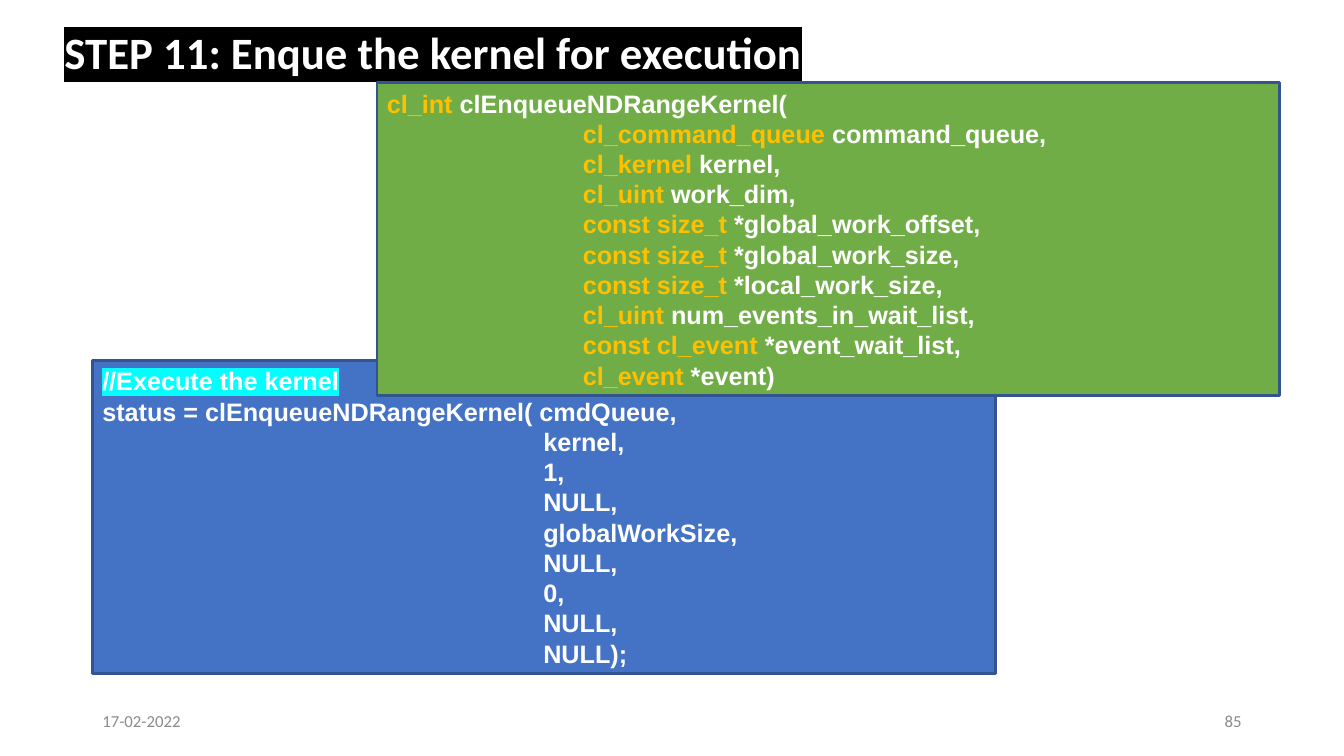
from dataclasses import dataclass

from lxml.etree import SubElement
from pptx import Presentation
from pptx.dml.color import RGBColor as RGB
from pptx.enum.shapes import MSO_SHAPE as Shape
from pptx.enum.text import MSO_ANCHOR as Anchor, PP_ALIGN as Align
from pptx.oxml import parse_xml
from pptx.oxml.ns import nsdecls, qn
from pptx.util import Pt


@dataclass(frozen=True)
class Theme:
    white: str = "FFFFFF"
    black: str = "000000"
    grey: str = "8B8B8B"
    gold: str = "FFC000"
    cyan: str = "00FFFF"
    blue: str = "4472C4"
    green: str = "70AD47"
    edge: str = "325491"
    head: int = 32
    code: int = 18
    foot: int = 12


theme = Theme()


def style(run, face, size, color, bold=True, mark=None):
    font = run.font
    font.name, font.size, font.bold = face, Pt(size), bold
    font.color.rgb = RGB.from_string(color)
    if mark:
        glow = parse_xml(f'<a:highlight {nsdecls("a")}><a:srgbClr val="{mark}"/></a:highlight>')
        run._r.rPr.find(qn("a:solidFill")).addnext(glow)


def label(text, left, top, width, height):
    box = slide.shapes.add_textbox(Pt(left), Pt(top), Pt(width), Pt(height))
    frame = box.text_frame
    frame.word_wrap = True
    frame.vertical_anchor = Anchor.MIDDLE
    frame.text = text
    return frame.paragraphs[0]


deck = Presentation()
deck.slide_width, deck.slide_height = Pt(960), Pt(540)
slide = deck.slides.add_slide(deck.slide_layouts[6])

# Footer: date and page number
for text, left, align in (("17-02-2022", 66, Align.LEFT), ("85", 678, Align.RIGHT)):
    para = label(text, left, 500.5, 216, 28.75)
    para.alignment = align
    style(para.runs[0], "Calibri", theme.foot, theme.grey, bold=False)

# Title: a tab carries the black band past the last word
para = label("STEP 11: Enque the kernel for execution\t", 38.9, 10, 828, 59)
para.line_spacing = 0.9
stops = SubElement(para._p.get_or_add_pPr(), qn("a:tabLst"))
SubElement(stops, qn("a:tab"), pos=str(Pt(548.5)), algn="l")
style(para.runs[0], "Calibri", theme.head, theme.white, mark=theme.black)

# Code lines as (type, name); the call has no types
call = [("", line) for line in (
    "//Execute the kernel", "status = clEnqueueNDRangeKernel( cmdQueue,",
    "kernel,", "1,", "NULL,", "globalWorkSize,", "NULL,", "0,", "NULL,", "NULL);")]
proto = [
    ("cl_int ", "clEnqueueNDRangeKernel("),
    ("cl_command_queue ", "command_queue,"),
    ("cl_kernel ", "kernel,"),
    ("cl_uint ", "work_dim,"),
    ("const size_t", " *global_work_offset,"),
    ("const size_t", " *global_work_size,"),
    ("const size_t", " *local_work_size,"),
    ("cl_uint ", "num_events_in_wait_list,"),
    ("const cl_event", " *event_wait_list,"),
    ("cl_event ", "*event)"),
]

# Code panels: left, top, fill, lines, flush lines, indent of the rest, first mark
panels = (
    (66, 257.25, theme.blue, call, 2, 315, theme.cyan),
    (269.25, 58.75, theme.green, proto, 1, 140, None),
)
for left, top, fill, lines, flush, indent, mark in panels:
    panel = slide.shapes.add_shape(Shape.RECTANGLE, Pt(left), Pt(top), Pt(645), Pt(224))
    panel.shadow.inherit = False
    panel.fill.solid()
    panel.fill.fore_color.rgb = RGB.from_string(fill)
    panel.line.color.rgb = RGB.from_string(theme.edge)
    panel.line.width = Pt(2)
    frame = panel.text_frame
    frame.word_wrap = True
    frame.vertical_anchor = Anchor.MIDDLE
    frame.text = "\n".join(kind or name for kind, name in lines)
    for row, (para, (kind, name)) in enumerate(zip(frame.paragraphs, lines)):
        para.alignment = Align.LEFT
        if row >= flush:
            para._p.get_or_add_pPr().set("marL", str(Pt(indent)))
        if kind:
            style(para.runs[0], "Arial", theme.code, theme.gold)
            para.add_run().text = name
        style(para.runs[-1], "Arial", theme.code, theme.white,
              mark=mark if row == 0 else None)

deck.save("out.pptx")
